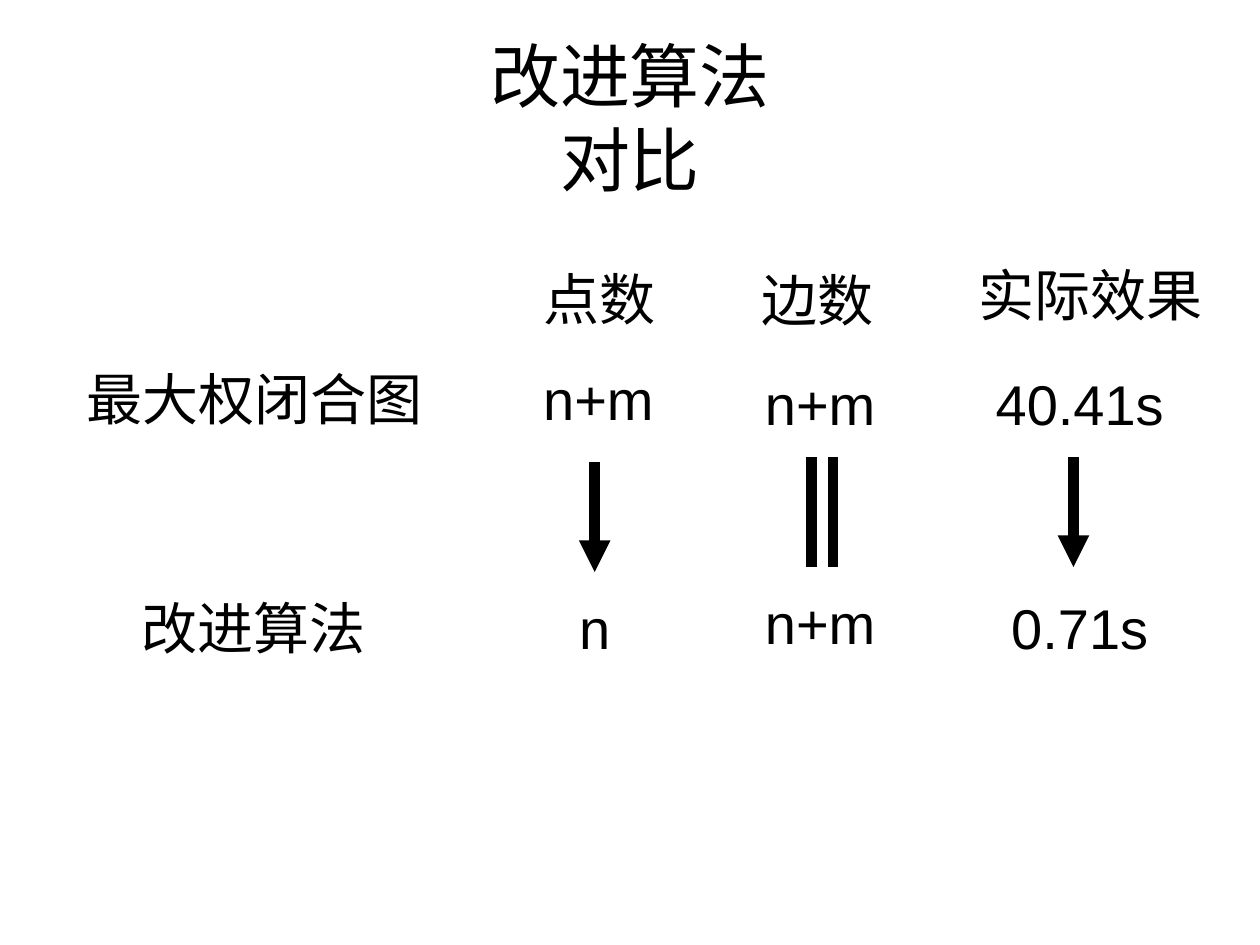
from lxml import etree
from pptx import Presentation
from pptx.dml.color import RGBColor
from pptx.enum import shapes, text
from pptx.oxml.ns import qn
from pptx.util import Inches, Pt

BLACK = RGBColor(0, 0, 0)
WHITE = RGBColor(255, 255, 255)


class Deck:
    """Holds the style and the current slide."""
    font = "Arial"
    head = 40
    body = 32
    high = 0.64
    stroke = 6

    def __init__(self, wide, tall):
        """Start a deck with one title-only slide."""
        self.prs = Presentation()
        self.prs.slide_width = Inches(wide)
        self.prs.slide_height = Inches(tall)
        self.slide = self.prs.slides.add_slide(self.prs.slide_layouts[5])
        fill = self.slide.background.fill
        fill.solid()
        fill.fore_color.rgb = WHITE

    def style(self, frame, size):
        """Centre the text of a frame and set its font."""
        for para in frame.paragraphs:
            para.alignment = text.PP_ALIGN.CENTER
            for run in para.runs:
                run.font.name = self.font
                run.font.size = Pt(size)
                run.font.color.rgb = BLACK

    def title(self, words, left, top, wide, tall):
        """Place and fill the title."""
        box = self.slide.shapes.title
        box.left, box.top = Inches(left), Inches(top)
        box.width, box.height = Inches(wide), Inches(tall)
        frame = box.text_frame
        frame.text = words
        frame.auto_size = text.MSO_AUTO_SIZE.NONE
        frame.vertical_anchor = text.MSO_ANCHOR.MIDDLE
        self.style(frame, self.head)

    def label(self, words, mid, top, wide):
        """Add one line of text centred on mid."""
        box = self.slide.shapes.add_textbox(
            Inches(mid - wide / 2), Inches(top),
            Inches(wide), Inches(self.high))
        frame = box.text_frame
        frame.text = words
        frame.word_wrap = False
        frame.auto_size = text.MSO_AUTO_SIZE.SHAPE_TO_FIT_TEXT
        self.style(frame, self.body)

    def line(self, x, top, tall, arrow=False):
        """Add an upright line, with an arrowhead below if asked."""
        bar = self.slide.shapes.add_connector(
            shapes.MSO_CONNECTOR.STRAIGHT,
            Inches(x), Inches(top), Inches(x), Inches(top + tall))
        bar.line.color.rgb = BLACK
        bar.line.width = Pt(self.stroke)
        if arrow:
            tip = etree.SubElement(bar.line._get_or_add_ln(), qn("a:tailEnd"))
            tip.set("type", "triangle")
        etree.SubElement(bar._element.spPr, qn("a:effectLst"))


def main():
    """Build the comparison slide."""
    deck = Deck(10, 7.5)
    deck.title("改进算法\v对比", 0.5, 0.3, 9, 1.25)

    # Each column: cells of (words, middle, top, width)
    cols = [
        [("最大权闭合图", 2.02, 2.84, 2.88), ("改进算法", 2.01, 4.66, 2)],
        [("点数", 4.76, 2.05, 1.1), ("n+m", 4.75, 2.84, 1.1),
         ("n", 4.72, 4.66, 0.47)],
        [("边数", 6.49, 2.06, 1.1), ("n+m", 6.51, 2.88, 1.1),
         ("n+m", 6.51, 4.62, 1.1)],
        [("实际效果", 8.66, 2.02, 2), ("40.41s", 8.57, 2.88, 1.58),
         ("0.71s", 8.57, 4.66, 1.32)],
    ]
    for col in cols:
        for cell in col:
            deck.label(*cell)

    # Arrows mark a drop, the pair of bars marks equal values
    for x, top, arrow in [(4.72, 3.67, True), (6.44, 3.63, False),
                          (6.61, 3.63, False), (8.52, 3.63, True)]:
        deck.line(x, top, 0.87, arrow)
    deck.prs.save("out.pptx")


main()
